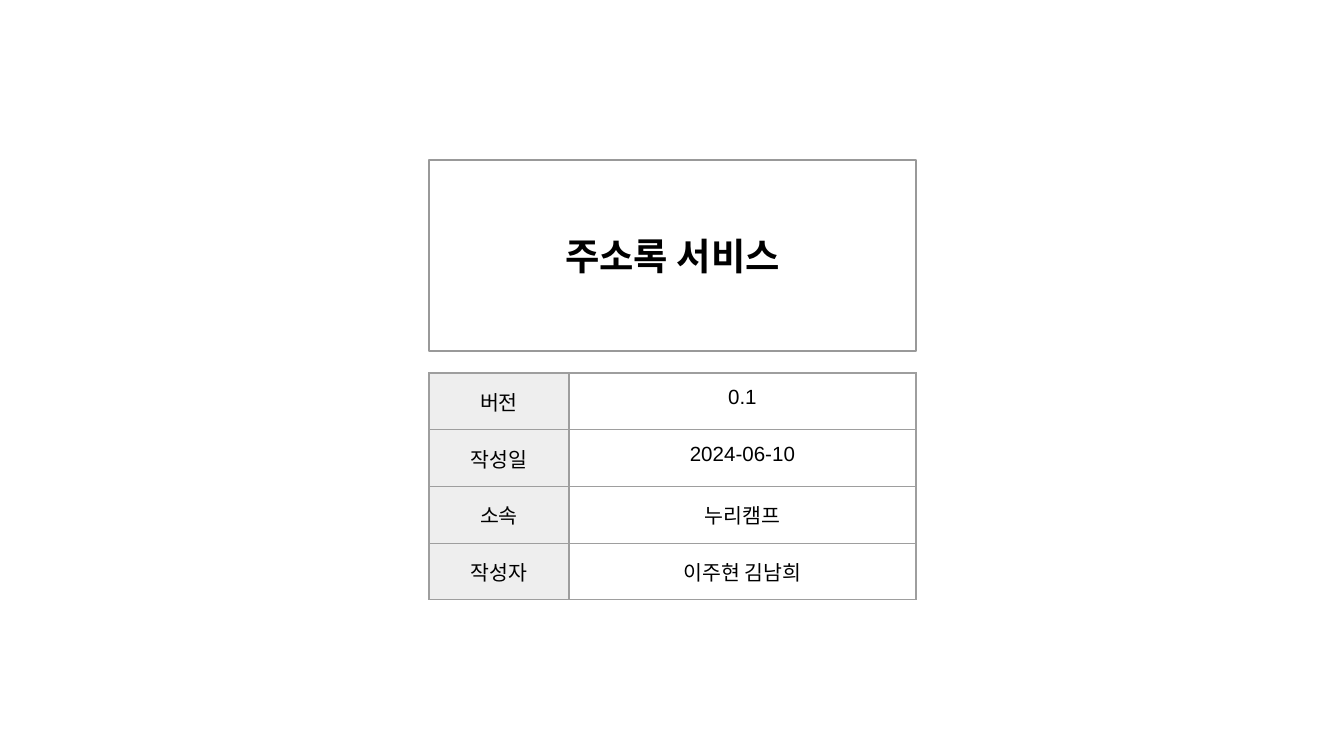
from dataclasses import dataclass

from lxml import etree
from pptx import Presentation, util as u
from pptx.dml.color import RGBColor
from pptx.enum import shapes, text
from pptx.oxml import ns

TITLE = "주소록 서비스"
DETAILS = [
    ("버전", "0.1"),
    ("작성일", "2024-06-10"),
    ("소속", "누리캠프"),
    ("작성자", "이주현 김남희"),
]


@dataclass(frozen=True)
class Theme:
    font: str = "Arial"
    ink: str = "000000"
    paper: str = "FFFFFF"
    label_fill: str = "EEEEEE"
    box_line: str = "999999"
    table_line: str = "9E9E9E"
    title_size: int = 20
    body_size: int = 11
    line_width: float = 0.75


THEME = Theme()
EMU_PER_PX = 914400 / 134.4
SLIDE_WIDTH, SLIDE_HEIGHT = 1344, 756
LEFT, COLUMNS = 429, (140, 347)
WIDTH = sum(COLUMNS)
TITLE_TOP, TITLE_HEIGHT = 160, 191
TABLE_TOP, TABLE_HEIGHT = 373, 227


def px(length):
    return u.Emu(round(length * EMU_PER_PX))


def color(value):
    return RGBColor.from_string(value)


def write(frame, content, *, size, bold=False):
    paragraph = frame.paragraphs[0]
    paragraph.alignment = text.PP_ALIGN.CENTER
    run = paragraph.add_run()
    run.text = content
    run.font.name = THEME.font
    run.font.size = u.Pt(size)
    run.font.bold = bold
    run.font.color.rgb = color(THEME.ink)


def pad(holder):
    for side in ("left", "right", "top", "bottom"):
        setattr(holder, f"margin_{side}", u.Inches(0.1))


def outline(cell):
    properties = cell._tc.get_or_add_tcPr()
    for edge in ("a:lnL", "a:lnR", "a:lnT", "a:lnB"):
        line = etree.SubElement(properties, ns.qn(edge), w=str(u.Pt(THEME.line_width)))
        fill = etree.SubElement(line, ns.qn("a:solidFill"))
        etree.SubElement(fill, ns.qn("a:srgbClr"), val=THEME.table_line)


def add_title(slide):
    shape = slide.shapes.add_shape(
        shapes.MSO_SHAPE.RECTANGLE, px(LEFT), px(TITLE_TOP), px(WIDTH), px(TITLE_HEIGHT)
    )
    shape.shadow.inherit = False
    shape.fill.solid()
    shape.fill.fore_color.rgb = color(THEME.paper)
    shape.line.color.rgb = color(THEME.box_line)
    shape.line.width = u.Pt(THEME.line_width)
    frame = shape.text_frame
    frame.word_wrap = True
    frame.vertical_anchor = text.MSO_ANCHOR.MIDDLE
    pad(frame)
    write(frame, TITLE, size=THEME.title_size, bold=True)


def add_details(slide):
    table = slide.shapes.add_table(
        len(DETAILS), len(COLUMNS), px(LEFT), px(TABLE_TOP), px(WIDTH), px(TABLE_HEIGHT)
    ).table
    table.first_row = table.horz_banding = False
    for column, width in zip(table.columns, COLUMNS):
        column.width = px(width)
    for row, contents in zip(table.rows, DETAILS):
        row.height = px(TABLE_HEIGHT / len(DETAILS))
        for cell, content in zip(row.cells, contents):
            pad(cell)
            outline(cell)
            cell.fill.background()
            write(cell.text_frame, content, size=THEME.body_size)
        label = row.cells[0]
        label.fill.solid()
        label.fill.fore_color.rgb = color(THEME.label_fill)


def main():
    presentation = Presentation()
    presentation.slide_width = px(SLIDE_WIDTH)
    presentation.slide_height = px(SLIDE_HEIGHT)
    slide = presentation.slides.add_slide(presentation.slide_layouts[6])
    add_title(slide)
    add_details(slide)
    presentation.save("out.pptx")


if __name__ == "__main__":
    main()
